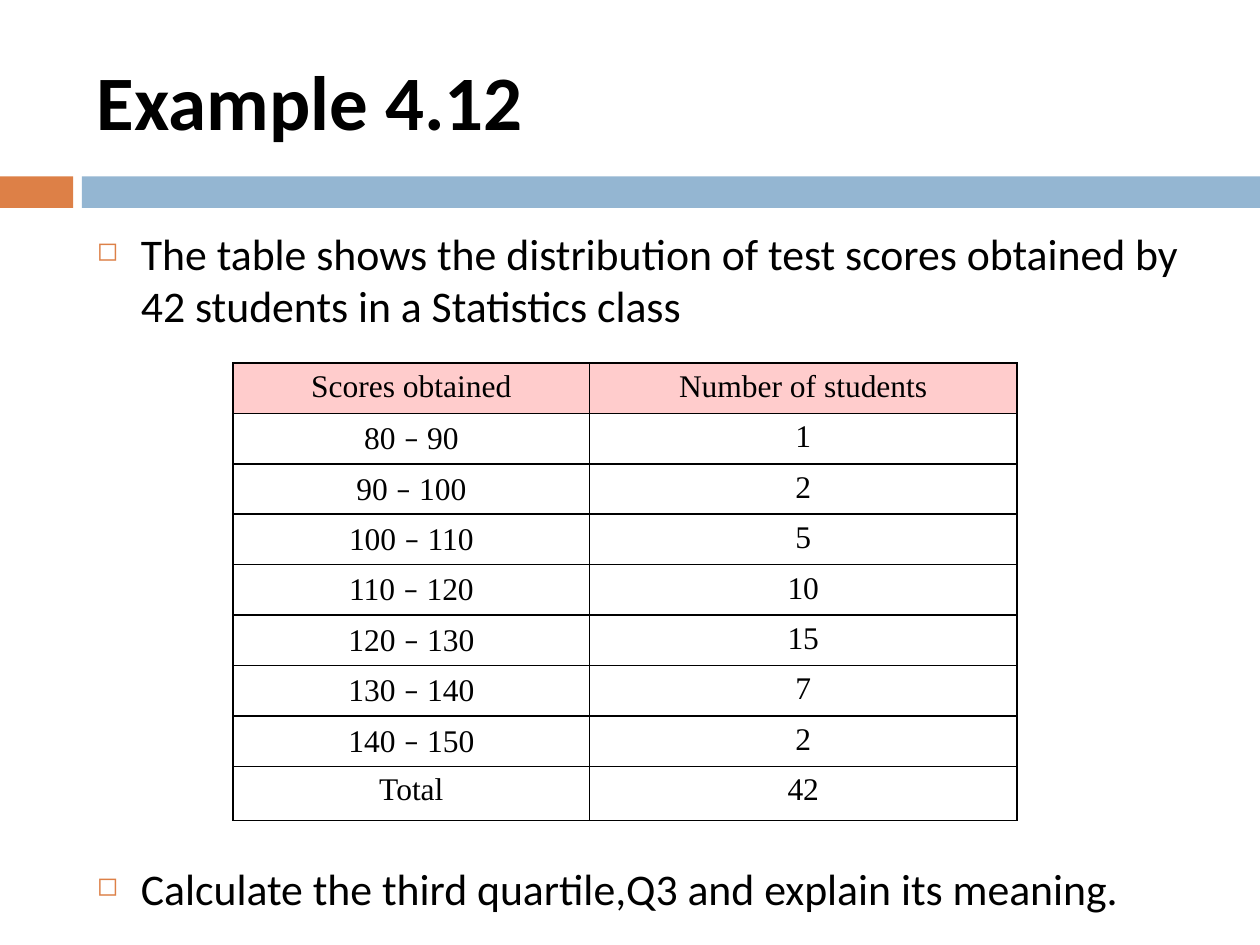
from dataclasses import dataclass

from lxml import etree
from pptx import Presentation
from pptx.dml.color import RGBColor
from pptx.enum.shapes import MSO_SHAPE
from pptx.enum.text import MSO_ANCHOR, PP_ALIGN
from pptx.oxml.ns import qn
from pptx.util import Inches, Pt

RECTANGLE = MSO_SHAPE.RECTANGLE
MIDDLE = MSO_ANCHOR.MIDDLE
CENTER = PP_ALIGN.CENTER


@dataclass(frozen=True)
class Theme:
    orange: str = "DD8047"
    blue: str = "94B6D2"
    pink: str = "FFCCCC"
    black: str = "000000"
    sans: str = "Calibri"
    serif: str = "Times New Roman"
    title_size: int = 44
    body_size: int = 25
    table_size: int = 18


@dataclass(frozen=True)
class Box:
    left: float
    top: float
    width: float
    height: float

    def lengths(self) -> tuple:
        return tuple(Inches(v) for v in (self.left, self.top, self.width, self.height))


@dataclass(frozen=True)
class Band:
    box: Box
    color: str


@dataclass(frozen=True)
class Bullet:
    box: Box
    text: str


THEME = Theme()
BANDS = [
    Band(Box(0, 1.4, 0.58, 0.25), THEME.orange),
    Band(Box(0.65, 1.4, 9.35, 0.25), THEME.blue),
]
TITLE_BOX = Box(0.67, 0.25, 8.92, 1.08)
BULLETS = [
    Bullet(Box(0.67, 1.75, 8.82, 0.98),
           "The table shows the distribution of test scores obtained by "
           "42 students in a Statistics class"),
    Bullet(Box(0.67, 6.79, 8.82, 0.55),
           "Calculate the third quartile,Q3 and explain its meaning."),
]
TABLE_BOX = Box(1.85, 2.88, 6.22, 3.63)
COLUMN_WIDTHS = (2.83, 3.39)
ROW_HEIGHT, LAST_ROW_HEIGHT = 0.4, 0.43
FIRST_SCORE, SCORE_STEP = 80, 10
COUNTS = (1, 2, 5, 10, 15, 7, 2)


def style_font(font, name: str, size: int, bold: bool = False) -> None:
    font.name, font.size, font.bold = name, Pt(size), bold
    font.color.rgb = RGBColor.from_string(THEME.black)


def add_band(slide, band: Band) -> None:
    shape = slide.shapes.add_shape(RECTANGLE, *band.box.lengths())
    shape.shadow.inherit = False
    shape.fill.solid()
    shape.fill.fore_color.rgb = RGBColor.from_string(band.color)
    shape.line.fill.background()


def add_text(slide, box: Box, text: str, size: int, bold: bool = False):
    frame = slide.shapes.add_textbox(*box.lengths()).text_frame
    frame.word_wrap = True
    paragraph = frame.paragraphs[0]
    paragraph.text = text
    style_font(paragraph.font, THEME.sans, size, bold)
    return frame


def add_bullet(slide, bullet: Bullet) -> None:
    paragraph = add_text(slide, bullet.box, bullet.text, THEME.body_size).paragraphs[0]
    paragraph.space_before = Pt(7)
    properties = paragraph.font._element.getparent()
    properties.set("marL", str(Inches(0.35)))
    properties.set("indent", str(-Inches(0.35)))
    color = etree.Element(qn("a:buClr"))
    etree.SubElement(color, qn("a:srgbClr"), val=THEME.orange)
    marks = [color,
             etree.Element(qn("a:buSzPct"), val="60000"),
             etree.Element(qn("a:buChar"), char="\u25fb")]
    for mark in marks:
        paragraph.font._element.addprevious(mark)


def add_borders(cell) -> None:
    properties = cell._tc.get_or_add_tcPr()
    for index, side in enumerate(("lnL", "lnR", "lnT", "lnB")):
        line = etree.Element(qn(f"a:{side}"), w=str(Pt(1)))
        fill = etree.SubElement(line, qn("a:solidFill"))
        etree.SubElement(fill, qn("a:srgbClr"), val=THEME.black)
        properties.insert(index, line)


def fill_cell(cell, text: str, header: bool) -> None:
    paragraph = cell.text_frame.paragraphs[0]
    paragraph.alignment = CENTER
    style_font(paragraph.font, THEME.serif, THEME.table_size)
    # The dash of a score range is set in the sans font
    for part in text.partition("\u2013"):
        if part:
            run = paragraph.add_run()
            run.text = part
            name = THEME.sans if part == "\u2013" else THEME.serif
            style_font(run.font, name, THEME.table_size)
    if header:
        cell.fill.solid()
        cell.fill.fore_color.rgb = RGBColor.from_string(THEME.pink)
    else:
        cell.fill.background()
    add_borders(cell)


def add_score_table(slide) -> None:
    rows = [("Scores obtained", "Number of students")]
    for index, count in enumerate(COUNTS):
        low = FIRST_SCORE + index * SCORE_STEP
        rows.append((f"{low} \u2013 {low + SCORE_STEP}", str(count)))
    rows.append(("Total", str(sum(COUNTS))))

    table = slide.shapes.add_table(
        len(rows), len(COLUMN_WIDTHS), *TABLE_BOX.lengths()).table
    table.first_row = table.horz_banding = False
    for column, width in zip(table.columns, COLUMN_WIDTHS):
        column.width = Inches(width)
    for row in table.rows:
        row.height = Inches(ROW_HEIGHT)
    table.rows[len(rows) - 1].height = Inches(LAST_ROW_HEIGHT)
    for row_index, texts in enumerate(rows):
        for column_index, text in enumerate(texts):
            fill_cell(table.cell(row_index, column_index), text, row_index == 0)


presentation = Presentation()
presentation.slide_width, presentation.slide_height = Inches(10), Inches(7.5)
slide = presentation.slides.add_slide(presentation.slide_layouts[6])

# Bands under the title
for band in BANDS:
    add_band(slide, band)

# Title and bullets
title_frame = add_text(slide, TITLE_BOX, "Example 4.12", THEME.title_size, bold=True)
title_frame.vertical_anchor = MIDDLE
for bullet in BULLETS:
    add_bullet(slide, bullet)

# Score distribution
add_score_table(slide)

presentation.save("out.pptx")
